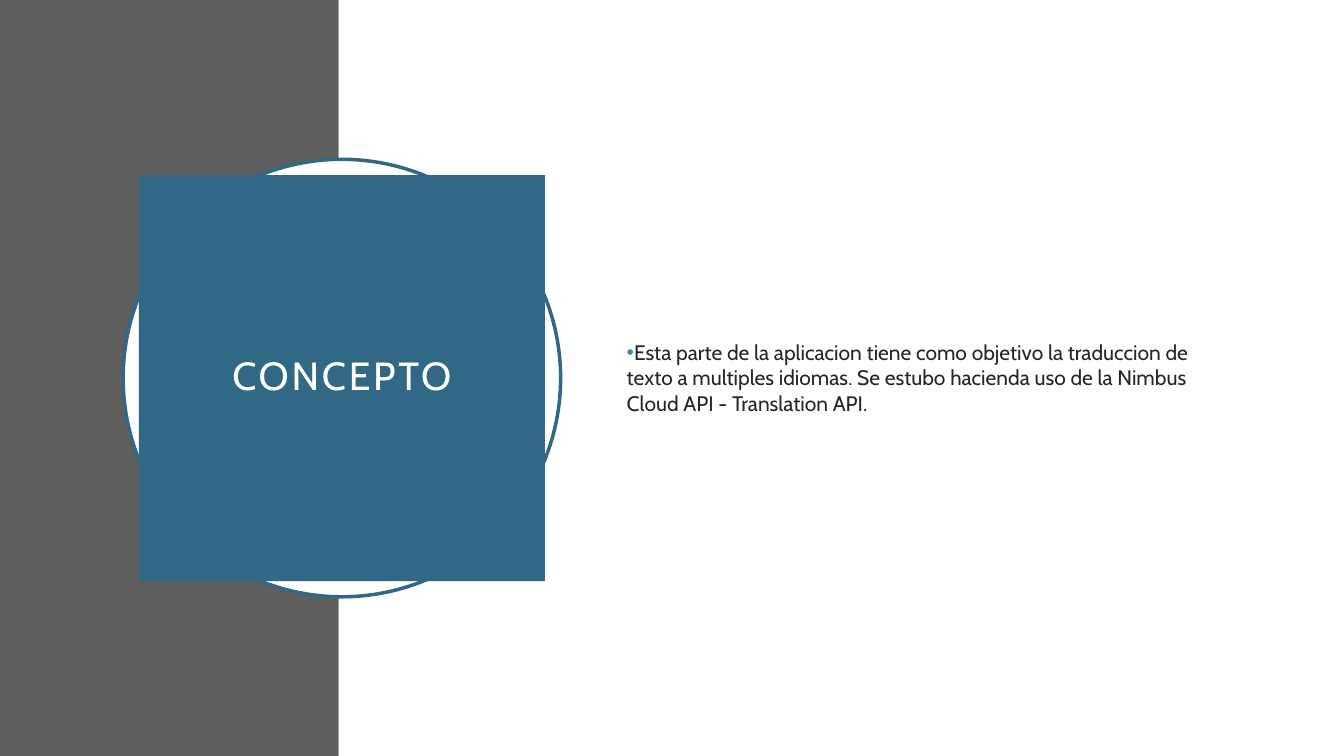
from dataclasses import dataclass

from lxml import etree
from pptx import Presentation
from pptx.dml.color import RGBColor
from pptx.enum.shapes import MSO_SHAPE
from pptx.enum.text import MSO_ANCHOR, MSO_AUTO_SIZE, PP_ALIGN
from pptx.oxml.ns import qn
from pptx.util import Pt

RECTANGLE, OVAL = MSO_SHAPE.RECTANGLE, MSO_SHAPE.OVAL
MIDDLE, CENTER = MSO_ANCHOR.MIDDLE, PP_ALIGN.CENTER
NO_AUTOFIT = MSO_AUTO_SIZE.NONE
TITLE_ONLY = 5
PAGE_WIDTH, PAGE_HEIGHT = 960, 540
BAND_WIDTH = 242


@dataclass(frozen=True)
class Theme:
    font: str = "Cabin"
    title_size: int = 28
    body_size: int = 15
    band: str = "5E5E5E"
    white: str = "FFFFFF"
    accent: str = "316886"
    bullet: str = "418AB3"
    body: str = "262626"


THEME = Theme()


def color(code):
    return RGBColor.from_string(code)


def add_panel(page, kind, box, fill):
    panel = page.shapes.add_shape(kind, *map(Pt, box))
    panel.shadow.inherit = False
    panel.fill.solid()
    panel.fill.fore_color.rgb = color(fill)
    panel.line.fill.background()
    return panel


def set_text(shape, text, size, text_color):
    """Fill a shape with one wrapped, vertically centred paragraph."""
    frame = shape.text_frame
    frame.text = text
    frame.word_wrap = True
    frame.auto_size = NO_AUTOFIT
    frame.vertical_anchor = MIDDLE
    para = frame.paragraphs[0]
    span = para.runs[0]
    span.font.name = THEME.font
    span.font.size = Pt(size)
    span.font.color.rgb = color(text_color)
    return para


def add_bullet(para):
    """Give the paragraph a coloured bullet on the text edge."""
    props = para._p.get_or_add_pPr()
    props.set("marL", "0")
    props.set("indent", str(-Pt(18)))
    bullet_color = etree.SubElement(props, qn("a:buClr"))
    etree.SubElement(bullet_color, qn("a:srgbClr"), val=THEME.bullet)
    etree.SubElement(props, qn("a:buFont"), typeface="Arial")
    etree.SubElement(props, qn("a:buChar"), char="•")


def add_background(page):
    add_panel(page, RECTANGLE, (0, 0, BAND_WIDTH, PAGE_HEIGHT), THEME.band)
    add_panel(page, RECTANGLE,
              (BAND_WIDTH, 0, PAGE_WIDTH - BAND_WIDTH, PAGE_HEIGHT), THEME.white)


def add_title_badge(page, text, box):
    """Draw a ring in the box and the title block centred inside it."""
    left, top, width, height = box
    ring = add_panel(page, OVAL, box, THEME.white)
    ring.line.color.rgb = color(THEME.accent)
    ring.line.width = Pt(2.5)

    inset = 11.2
    title = page.shapes.title
    title.left, title.top = Pt(left + inset), Pt(top + inset)
    title.width, title.height = Pt(width - 2 * inset), Pt(height - 2 * inset)
    title.fill.solid()
    title.fill.fore_color.rgb = color(THEME.accent)
    para = set_text(title, text, THEME.title_size, THEME.white)
    para.alignment = CENTER
    para.line_spacing = 0.9
    para.runs[0].font._element.set("spc", "200")
    frame = title.text_frame
    frame.margin_left = frame.margin_right = Pt(14.4)
    frame.margin_top = frame.margin_bottom = Pt(14.4)
    # Bring the title in front of the ring
    title.element.getparent().append(title.element)


def add_body(page, text, box):
    body = page.shapes.add_textbox(*map(Pt, box))
    para = set_text(body, text, THEME.body_size, THEME.body)
    para.space_before = Pt(10)
    add_bullet(para)


def add_concept_slide(deck, title, text):
    page = deck.slides.add_slide(deck.slide_layouts[TITLE_ONLY])
    add_background(page)
    add_title_badge(page, title, (88, 113.8, 312.5, 312.5))
    add_body(page, text, (440.6, 110.2, 419, 319))


def main():
    deck = Presentation()
    deck.slide_width, deck.slide_height = Pt(PAGE_WIDTH), Pt(PAGE_HEIGHT)
    add_concept_slide(
        deck,
        "CONCEPTO",
        "Esta parte de la aplicacion tiene como objetivo la traduccion de texto "
        "a multiples idiomas. Se estubo hacienda uso de la Nimbus Cloud API - "
        "Translation API.",
    )
    deck.save("out.pptx")


if __name__ == "__main__":
    main()
